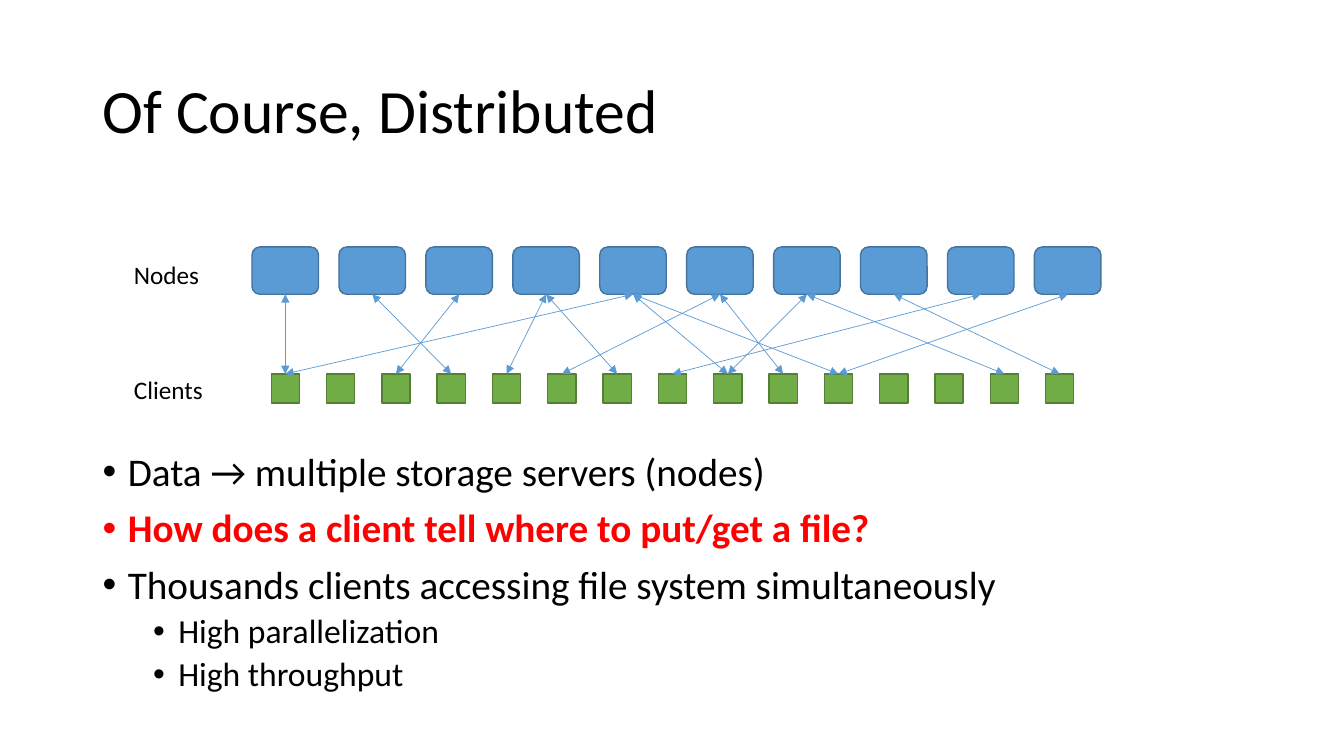
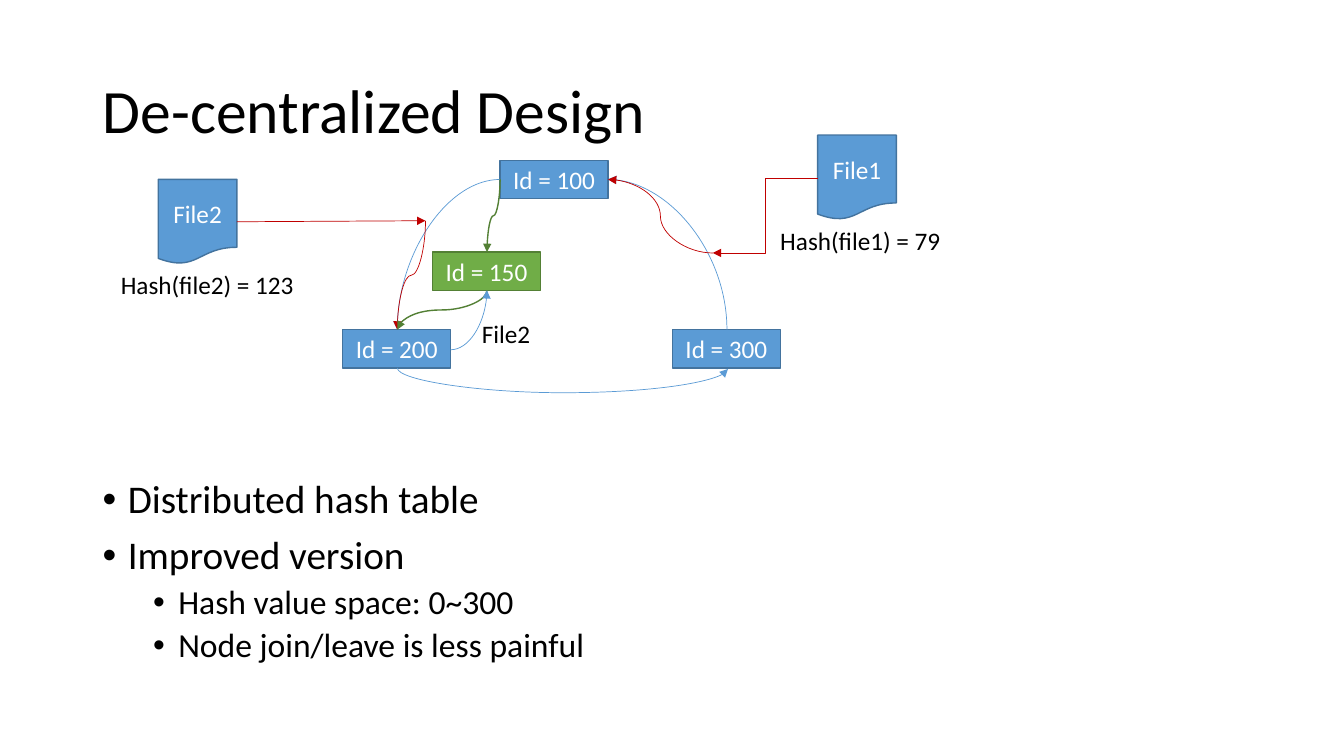
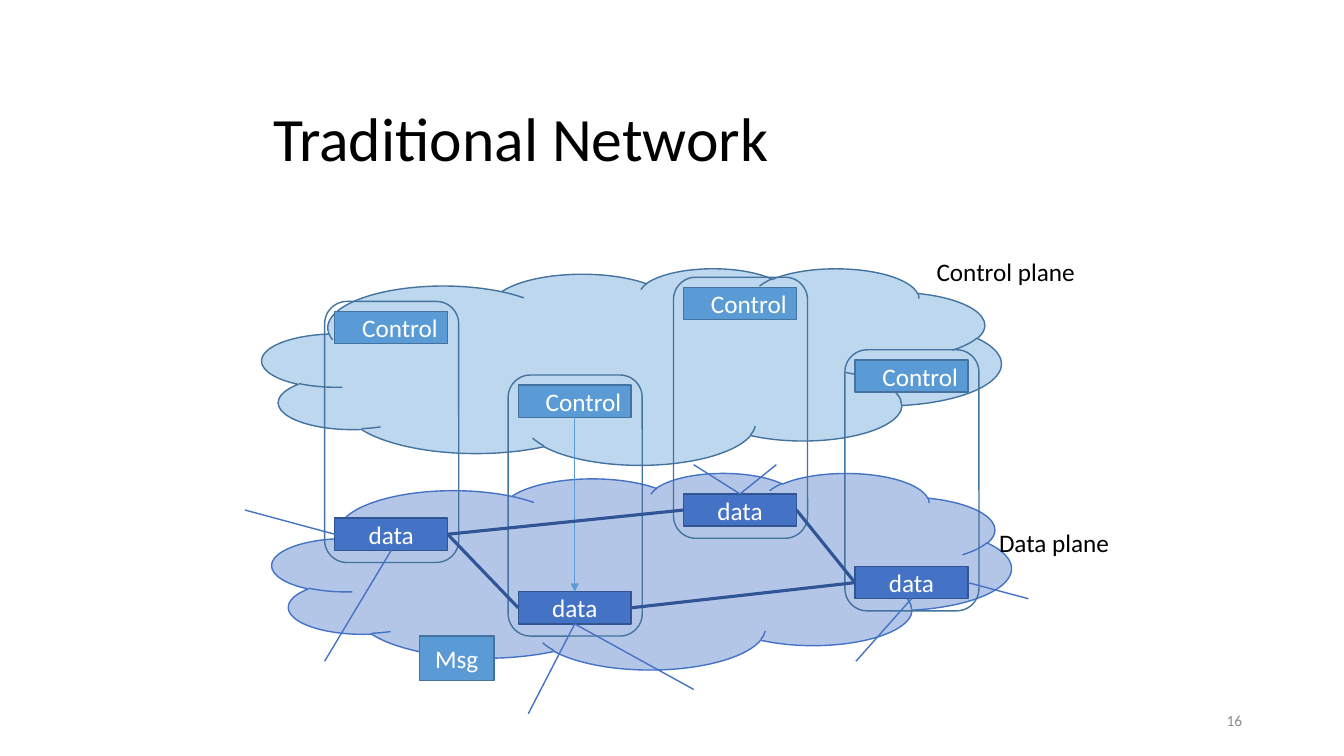
from lxml import etree
from pptx import Presentation
from pptx.dml.color import RGBColor
from pptx.enum.shapes import MSO_CONNECTOR, MSO_SHAPE
from pptx.enum.text import MSO_ANCHOR, PP_ALIGN
from pptx.oxml.ns import qn
from pptx.util import Inches, Pt

RECTANGLE = MSO_SHAPE.RECTANGLE
ROUNDED = MSO_SHAPE.ROUNDED_RECTANGLE
DOCUMENT = MSO_SHAPE.FLOWCHART_DOCUMENT
CLOUD = MSO_SHAPE.CLOUD
STRAIGHT, CURVE = MSO_CONNECTOR.STRAIGHT, MSO_CONNECTOR.CURVE
LEFT_ALIGN, CENTER, RIGHT_ALIGN = PP_ALIGN.LEFT, PP_ALIGN.CENTER, PP_ALIGN.RIGHT
ANCHOR_TOP, ANCHOR_MIDDLE = MSO_ANCHOR.TOP, MSO_ANCHOR.MIDDLE
TOP, LEFT, BOTTOM, RIGHT = range(4)

FONT = "Calibri"
COLORS = {
    "black": "000000", "white": "FFFFFF", "gray": "8C8C8C", "red": "FF0000",
    "blue": "5B9BD5", "blue_edge": "43739E",
    "green": "70AD47", "green_edge": "538035",
    "indigo": "4472C4", "indigo_edge": "325491", "navy": "2F5597",
    "dark_red": "C00000",
}
TITLE_BOX = (0.92, 0.4, 11.5, 1.45)
SLIDES = [
    ("Of Course, Distributed", TITLE_BOX, (0.92, 4.44, 11.5, 2.58), [
        (0, "Data → multiple storage servers (nodes)"),
        (0, "How does a client tell where to put/get a file?"),
        (0, "Thousands clients accessing file system simultaneously"),
        (1, "High parallelization"),
        (1, "High throughput"),
    ]),
    ("De-centralized Design", TITLE_BOX, (0.92, 4.71, 11.5, 2.05), [
        (0, "Distributed hash table"),
        (0, "Improved version"),
        (1, "Hash value space: 0~300"),
        (1, "Node join/leave is less painful"),
    ]),
    ("Traditional Network", (2.61, 1.01, 6.94, 0.78), None, []),
]
HIGHLIGHT = "How does a client tell where to put/get a file?"
BULLET_STYLES = [(28, 10, 0.25), (24, 5, 0.75)]  # size, space before, margin


def add_box(slide, box, text="", preset=None, fill=None, edge=None, size=18,
            color="black", align=LEFT_ALIGN, anchor=ANCHOR_TOP, wrap=False):
    """Add a preset shape, or a text box when no preset is given."""
    lengths = [Inches(value) for value in box]
    if preset is None:
        shape = slide.shapes.add_textbox(*lengths)
    else:
        shape = slide.shapes.add_shape(preset, *lengths)
        shape.shadow.inherit = False
        if fill:
            shape.fill.solid()
            shape.fill.fore_color.rgb = RGBColor.from_string(COLORS[fill])
        else:
            shape.fill.background()
        shape.line.color.rgb = RGBColor.from_string(COLORS[edge])
        shape.line.width = Pt(1)
        color, anchor, wrap = "white", ANCHOR_MIDDLE, True
    frame = shape.text_frame
    frame.word_wrap = wrap
    frame.vertical_anchor = anchor
    if text:
        frame.text = text
        for paragraph in frame.paragraphs:
            paragraph.alignment = align
            font = paragraph.runs[0].font
            font.name, font.size = FONT, Pt(size)
            font.color.rgb = RGBColor.from_string(COLORS[color])
    return shape


def add_line(slide, begin, end, color, width=0.5, arrows=("tailEnd",), route=None):
    """Draw a connector; an end is a point or a (shape, side) pair.

    A route is (preset, rotation, flip, adjustment) for a bent or curved line.
    """
    if route:
        preset, rotation, flip, adjustment = route
        spans = [abs(end[i] - begin[i]) for i in (0, 1)]
        if rotation in (90, 270):
            spans.reverse()
        centers = [(begin[i] + end[i]) / 2 for i in (0, 1)]
        corners = [centers[i] + sign * spans[i] / 2 for sign in (-1, 1) for i in (0, 1)]
        line = slide.shapes.add_connector(CURVE, *[Inches(value) for value in corners])
        properties = line._element.spPr
        transform = properties.find(qn("a:xfrm"))
        transform.set("rot", str(rotation * 60000))
        if flip:
            transform.set(flip, "1")
        geometry = properties.find(qn("a:prstGeom"))
        geometry.set("prst", preset)
        if adjustment:
            guide = etree.SubElement(geometry.find(qn("a:avLst")), qn("a:gd"))
            guide.set("name", "adj1")
            guide.set("fmla", f"val {adjustment}")
    else:
        joined = [not isinstance(point[0], (int, float)) for point in (begin, end)]
        points = [(0, 0) if glued else point for point, glued in zip((begin, end), joined)]
        line = slide.shapes.add_connector(
            STRAIGHT, *[Inches(value) for point in points for value in point])
        if joined[0]:
            line.begin_connect(*begin)
        if joined[1]:
            line.end_connect(*end)
    line.line.color.rgb = RGBColor.from_string(COLORS[color])
    line.line.width = Pt(width)
    outline = line.line._get_or_add_ln()
    for arrow in arrows:
        etree.SubElement(outline, qn(f"a:{arrow}")).set("type", "triangle")
    etree.SubElement(line._element.spPr, qn("a:effectLst"))


presentation = Presentation()
presentation.slide_width = Inches(13.33)
presentation.slide_height = Inches(7.5)

# Titles and bullet lists
slides = []
for title, title_box, body_box, bullets in SLIDES:
    slide = presentation.slides.add_slide(presentation.slide_layouts[6])
    slides.append(slide)
    heading = add_box(slide, title_box, title, size=44, anchor=ANCHOR_MIDDLE, wrap=True)
    heading.text_frame.paragraphs[0].line_spacing = 0.9
    if not bullets:
        continue
    body = add_box(slide, body_box, "\n".join(text for _, text in bullets), wrap=True)
    for paragraph, (level, text) in zip(body.text_frame.paragraphs, bullets):
        size, space_before, margin = BULLET_STYLES[level]
        paragraph.level = level
        paragraph.line_spacing = 0.9
        paragraph.space_before = Pt(space_before)
        font = paragraph.runs[0].font
        font.size = Pt(size)
        if text == HIGHLIGHT:
            font.bold = True
            font.color.rgb = RGBColor.from_string(COLORS["red"])
        properties = paragraph._p.get_or_add_pPr()
        properties.set("marL", str(Inches(margin)))
        properties.set("indent", str(Inches(-0.25)))
        etree.SubElement(properties, qn("a:buFont")).set("typeface", "Arial")
        etree.SubElement(properties, qn("a:buChar")).set("char", "•")

distributed, decentralized, network = slides

# Slide 1: nodes and clients
add_box(distributed, (1.23, 2.52, 0.86, 0.4), "Nodes")
add_box(distributed, (1.23, 3.66, 0.89, 0.4), "Clients")
node_pitch = (10.26 - 2.5) / 9
client_pitch = (10.37 - 2.69) / 14
nodes = [add_box(distributed, (2.5 + i * node_pitch, 2.45, 0.66, 0.47),
                 preset=ROUNDED, fill="blue", edge="blue_edge") for i in range(10)]
clients = [add_box(distributed, (2.69 + i * client_pitch, 3.71, 0.28, 0.29),
                   preset=RECTANGLE, fill="green", edge="green_edge") for i in range(15)]
NODE_CLIENT_LINKS = [
    (4, 0), (0, 0), (1, 3), (2, 2), (3, 6), (3, 4), (5, 5), (4, 8),
    (6, 8), (5, 9), (8, 7), (7, 14), (9, 10), (6, 13), (4, 10),
]
for node, client in NODE_CLIENT_LINKS:
    add_line(distributed, (nodes[node], BOTTOM), (clients[client], TOP), "blue",
             arrows=("headEnd", "tailEnd"))

# Slide 2: hash ring
for left, top, text, fill in [
    (4.96, 1.59, "Id = 100", "blue"),
    (3.4, 3.27, "Id = 200", "blue"),
    (6.67, 3.27, "Id = 300", "blue"),
    (4.29, 2.5, "Id = 150", "green"),
]:
    add_box(decentralized, (left, top, 1.07, 0.38), text, RECTANGLE, fill,
            f"{fill}_edge", align=CENTER)
for left, top, text in [(8.11, 1.34, "File1"), (1.57, 1.78, "File2")]:
    add_box(decentralized, (left, top, 0.78, 0.84), text, DOCUMENT, "blue",
            "blue_edge", align=CENTER)
for left, top, width, text in [
    (7.64, 2.19, 1.81, "Hash(file1) = 79"),
    (1.1, 2.62, 1.94, "Hash(file2) = 123"),
    (4.68, 3.11, 0.69, "File2"),
]:
    add_box(decentralized, (left, top, width, 0.4), text)
QUARTER, S_CURVE, ELBOW = "curvedConnector2", "curvedConnector3", "bentConnector3"
for begin, end, color, width, route in [
    ((4.96, 1.78), (3.94, 3.27), "blue", 0.5, (QUARTER, 180, "flipV", None)),
    ((3.94, 3.65), (7.22, 3.66), "blue", 0.5, (S_CURVE, 270, "flipH", 2500000)),
    ((7.21, 3.27), (6.03, 1.78), "blue", 0.5, (QUARTER, 270, "flipV", None)),
    ((8.11, 1.77), (7.07, 2.51), "dark_red", 0.5, (ELBOW, 180, "flipV", None)),
    ((7.07, 2.51), (6.03, 1.78), "dark_red", 0.5, (S_CURVE, 180, None, None)),
    ((2.35, 2.2), (4.22, 2.19), "dark_red", 0.5, None),
    ((4.22, 2.19), (3.94, 3.27), "dark_red", 0.5, (S_CURVE, 90, None, None)),
    ((4.96, 1.78), (4.83, 2.5), "green_edge", 1, (S_CURVE, 90, None, None)),
    ((4.83, 2.88), (3.94, 3.27), "green_edge", 1, (S_CURVE, 90, None, None)),
    ((4.47, 3.47), (4.83, 2.88), "blue", 0.5, (QUARTER, 0, "flipV", None)),
]:
    add_line(decentralized, begin, end, color, width, route=route)

# Slide 3: control and data planes
for left, top, fill, edge in [(2.6, 2.66, "blue", "blue_edge"),
                              (2.7, 4.69, "indigo", "indigo")]:
    cloud = add_box(network, (left, top, 7.33, 1.95), preset=CLOUD, fill=fill, edge=edge)
    cloud_color = cloud._element.spPr.find(qn("a:solidFill"))[0]
    etree.SubElement(cloud_color, qn("a:alpha")).set("val", "40000")

data_boxes, control_boxes = [], []
for left, top in [(5.14, 5.87), (3.32, 5.14), (6.78, 4.9), (8.48, 5.62)]:
    data_boxes.append(add_box(network, (left, top, 1.12, 0.32), "data", RECTANGLE,
                              "indigo", "indigo_edge", align=CENTER))
    control_boxes.append(add_box(network, (left, top - 2.05, 1.12, 0.32), "Control",
                                 RECTANGLE, "blue", "blue_edge", align=RIGHT_ALIGN))
    add_box(network, (left - 0.1, top - 2.15, 1.33, 2.59), preset=ROUNDED,
            edge="blue_edge")
middle, west, north, east = data_boxes
add_line(network, (control_boxes[0], BOTTOM), (middle, TOP), "blue")

for begin, end in [(west, middle), (west, north), (middle, east), (north, east)]:
    add_line(network, (begin, RIGHT), (end, LEFT), "navy", 2.25, arrows=())
for box, side, end in [
    (west, LEFT, (2.43, 5.06)), (west, BOTTOM, (3.22, 6.56)),
    (middle, BOTTOM, (5.24, 7.08)), (middle, BOTTOM, (6.88, 6.84)),
    (east, BOTTOM, (8.49, 6.56)), (east, RIGHT, (10.2, 5.94)),
    (north, TOP, (6.88, 4.61)), (north, TOP, (7.7, 4.61)),
]:
    add_line(network, (box, side), end, "indigo", 1, arrows=())

add_box(network, (9.19, 2.49, 1.59, 0.4), "Control plane")
add_box(network, (9.81, 5.18, 1.31, 0.4), "Data plane")
add_box(network, (4.16, 6.31, 0.74, 0.44), "Msg", RECTANGLE, "blue", "blue_edge",
        align=CENTER)
add_box(network, (9.42, 6.95, 3, 0.4), "16", size=11, color="gray",
        align=RIGHT_ALIGN, anchor=ANCHOR_MIDDLE, wrap=True)

presentation.save("out.pptx")
